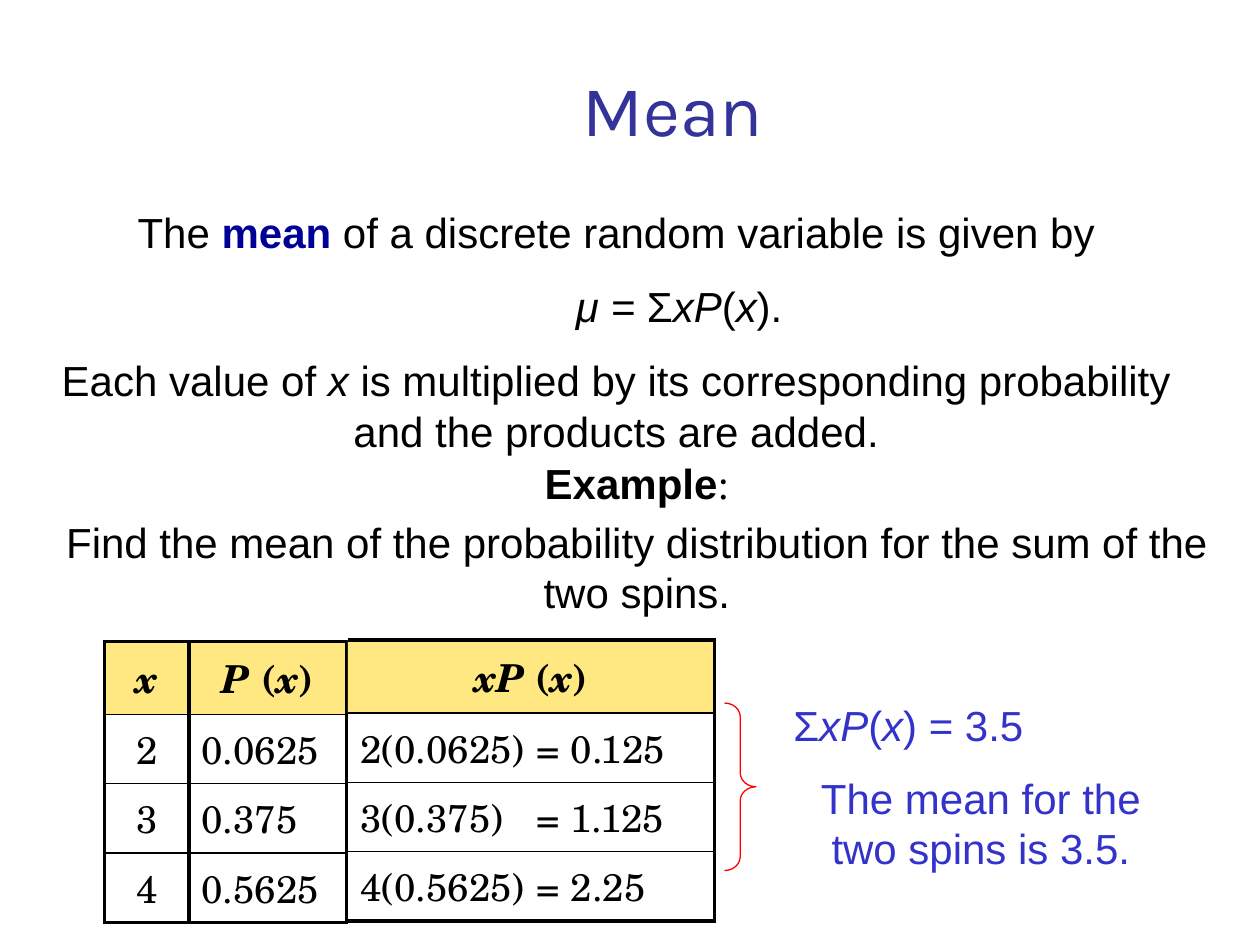
"""Build a slide on the mean of a discrete random variable."""
from dataclasses import dataclass
from typing import Optional

from lxml import etree
from pptx import Presentation
from pptx.dml.color import RGBColor
from pptx.enum.shapes import MSO_SHAPE
from pptx.enum.text import MSO_ANCHOR, MSO_AUTO_SIZE, PP_ALIGN
from pptx.oxml.ns import qn
from pptx.util import Inches, Pt

CENTER, LEFT = PP_ALIGN.CENTER, PP_ALIGN.LEFT
MIDDLE, BOTTOM = MSO_ANCHOR.MIDDLE, MSO_ANCHOR.BOTTOM
NO_AUTOFIT = MSO_AUTO_SIZE.NONE
RIGHT_BRACE = MSO_SHAPE.RIGHT_BRACE

BLACK = RGBColor(0x00, 0x00, 0x00)
TITLE_BLUE = RGBColor(0x33, 0x33, 0x99)
TERM_BLUE = RGBColor(0x00, 0x00, 0x99)
RESULT_BLUE = RGBColor(0x33, 0x33, 0xCC)
BRACE_RED = RGBColor(0xFF, 0x00, 0x00)
HEADER_YELLOW = RGBColor(0xFF, 0xCF, 0x01)

TITLE_FONT, BODY_FONT, TABLE_FONT = "Karla", "Arial", "TeX Gyre Schola"
THICK, THIN = 2.25, 1
HEADER_HEIGHT, ROW_HEIGHT = 0.58, 0.55
EQUALS_TAB = 1.4


@dataclass(frozen=True)
class Piece:
    text: str
    bold: bool = False
    italic: bool = False
    color: RGBColor = BLACK
    font: str = BODY_FONT
    size: float = 24


@dataclass(frozen=True)
class Line:
    pieces: list[Piece]
    before: float = 0
    indent: float = 0


@dataclass(frozen=True)
class TextBlock:
    box: tuple[float, float, float, float]
    lines: list[Line]


@dataclass(frozen=True)
class Column:
    header: list[Piece]
    values: list[str]
    width: float
    align: PP_ALIGN = LEFT
    tab: Optional[float] = None


@dataclass(frozen=True)
class Grid:
    left: float
    top: float
    columns: list[Column]
    left_border: bool = True


def formula(parts: list[tuple[str, bool]], **style) -> list[Piece]:
    """Turn (text, italic) pairs into equally styled pieces."""
    return [Piece(text, italic=italic, **style) for text, italic in parts]


def table_header(variable: str) -> list[Piece]:
    """Return the heading of a probability column."""
    return formula([(variable, True), (" (", False), ("x", True), (")", False)],
                   bold=True, font=TABLE_FONT, size=22)


def write_pieces(paragraph, pieces: list[Piece], align: PP_ALIGN) -> None:
    """Add styled runs to a paragraph."""
    paragraph.alignment = align
    for piece in pieces:
        run = paragraph.add_run()
        run.text = piece.text
        run.font.name = piece.font
        run.font.size = Pt(piece.size)
        run.font.bold = piece.bold
        run.font.italic = piece.italic
        run.font.color.rgb = piece.color


def add_text(slide, block: TextBlock) -> None:
    """Draw a centred text box."""
    frame = slide.shapes.add_textbox(*map(Inches, block.box)).text_frame
    frame.word_wrap = True
    for index, line in enumerate(block.lines):
        paragraph = frame.add_paragraph() if index else frame.paragraphs[0]
        if line.before:
            paragraph.space_before = Pt(line.before)
        if line.indent:
            paragraph._p.get_or_add_pPr().set("marL", str(Inches(line.indent)))
        write_pieces(paragraph, line.pieces, CENTER)


def add_tab_stop(paragraph, position: float) -> None:
    """Give a paragraph one left tab stop."""
    stops = etree.SubElement(paragraph._p.get_or_add_pPr(), qn("a:tabLst"))
    etree.SubElement(stops, qn("a:tab"), pos=str(Inches(position)), algn="l")


def set_borders(cell, widths: dict[str, float]) -> None:
    """Set black cell borders by side, where zero means none."""
    properties = cell._tc.get_or_add_tcPr()
    for index, (side, width) in enumerate(widths.items()):
        border = etree.Element(qn(f"a:ln{side}"), w=str(Pt(width)))
        if width:
            fill = etree.SubElement(border, qn("a:solidFill"))
            etree.SubElement(fill, qn("a:srgbClr"), val=str(BLACK))
        else:
            etree.SubElement(border, qn("a:noFill"))
        properties.insert(index, border)


def fill_cell(cell, is_header: bool) -> None:
    """Tint header cells and leave the others clear."""
    if not is_header:
        cell.fill.background()
        return
    cell.fill.solid()
    cell.fill.fore_color.rgb = HEADER_YELLOW
    tint = cell._tc.tcPr.find(".//" + qn("a:srgbClr"))
    etree.SubElement(tint, qn("a:alpha"), val="49000")


def add_grid(slide, grid: Grid) -> None:
    """Draw a bordered table of columns."""
    heights = [HEADER_HEIGHT] + [ROW_HEIGHT] * len(grid.columns[0].values)
    width = sum(column.width for column in grid.columns)
    table = slide.shapes.add_table(
        len(heights), len(grid.columns), Inches(grid.left), Inches(grid.top),
        Inches(width), Inches(sum(heights))).table
    for row, height in zip(table.rows, heights):
        row.height = Inches(height)
    last = len(heights) - 1
    for c, column in enumerate(grid.columns):
        table.columns[c].width = Inches(column.width)
        values = [[Piece(value, font=TABLE_FONT, size=22)] for value in column.values]
        for r, pieces in enumerate([column.header] + values):
            cell = table.cell(r, c)
            cell.vertical_anchor = MIDDLE
            paragraph = cell.text_frame.paragraphs[0]
            if r and column.tab:
                add_tab_stop(paragraph, column.tab)
            write_pieces(paragraph, pieces, column.align if r else CENTER)
            fill_cell(cell, r == 0)
            set_borders(cell, {"L": THICK if grid.left_border else 0, "R": THICK,
                               "T": THIN if r else THICK,
                               "B": THICK if r == last else THIN})


def add_title(slide, text: str) -> None:
    """Place the title in its placeholder."""
    title = slide.shapes.title
    title.left, title.top, title.width, title.height = map(Inches, (1.08, 0.42, 8.52, 0.83))
    title.text_frame.auto_size = NO_AUTOFIT
    title.text_frame.vertical_anchor = BOTTOM
    write_pieces(title.text_frame.paragraphs[0],
                 [Piece(text, color=TITLE_BLUE, font=TITLE_FONT, size=41)], CENTER)


def add_brace(slide) -> None:
    """Draw the brace that gathers the products."""
    brace = slide.shapes.add_shape(RIGHT_BRACE, *map(Inches, (5.75, 5.58, 0.25, 1.33)))
    brace.adjustments[0], brace.adjustments[1] = 0.44, 0.5
    brace.shadow.inherit = False
    brace.fill.background()
    brace.line.color.rgb = BRACE_RED
    brace.line.width = Pt(0.75)


SUM_TERMS = [("Σ", False), ("xP", True), ("(", False), ("x", True)]
DEFINITION = TextBlock((0.18, 1.59, 9.42, 2.15), [
    Line([Piece("The "), Piece("mean ", bold=True, color=TERM_BLUE),
          Piece("of a discrete random variable is given by")]),
    Line(formula([("μ = ", True), *SUM_TERMS, (").", False)]), before=13.5, indent=1),
    Line(formula([("Each value of ", False), ("x", True),
                  (" is multiplied by its corresponding probability "
                   "and the products are added.", False)]), before=13.5)])
EXAMPLE = TextBlock((0.33, 3.58, 9.45, 1), [
    Line([Piece("Example", bold=True), Piece(":", font="Times New Roman")]),
    Line([Piece("Find the mean of the probability distribution for the sum "
                "of the two spins.")], before=4.8)])
TOTAL = TextBlock((6.18, 5.5, 2.06, 0.5), [
    Line(formula([*SUM_TERMS, (") = 3.5", False)], color=RESULT_BLUE))])
CONCLUSION = TextBlock((6.25, 6.08, 3.07, 0.9), [
    Line([Piece("The mean for the two spins is 3.5.", color=RESULT_BLUE)])])

DISTRIBUTION = Grid(0.83, 5.09, [
    Column(table_header("x")[2:3], ["2", "3", "4"], 0.67, CENTER),
    Column(table_header("P"), ["0.0625", "0.375", "0.5625"], 1.25)])
PRODUCTS = Grid(2.76, 5.08, [
    Column(table_header("xP"),
           ["2(0.0625)\t= 0.125", "3(0.375)\t= 1.125", "4(0.5625)\t= 2.25"],
           2.91, tab=EQUALS_TAB)], left_border=False)


def main() -> None:
    """Assemble and save the slide."""
    deck = Presentation()
    deck.slide_width, deck.slide_height = Inches(10), Inches(7.5)
    slide = deck.slides.add_slide(deck.slide_layouts[5])
    add_title(slide, "Mean")
    for block in (DEFINITION, EXAMPLE, TOTAL, CONCLUSION):
        add_text(slide, block)
    for grid in (DISTRIBUTION, PRODUCTS):
        add_grid(slide, grid)
    add_brace(slide)
    deck.save("out.pptx")


if __name__ == "__main__":
    main()
